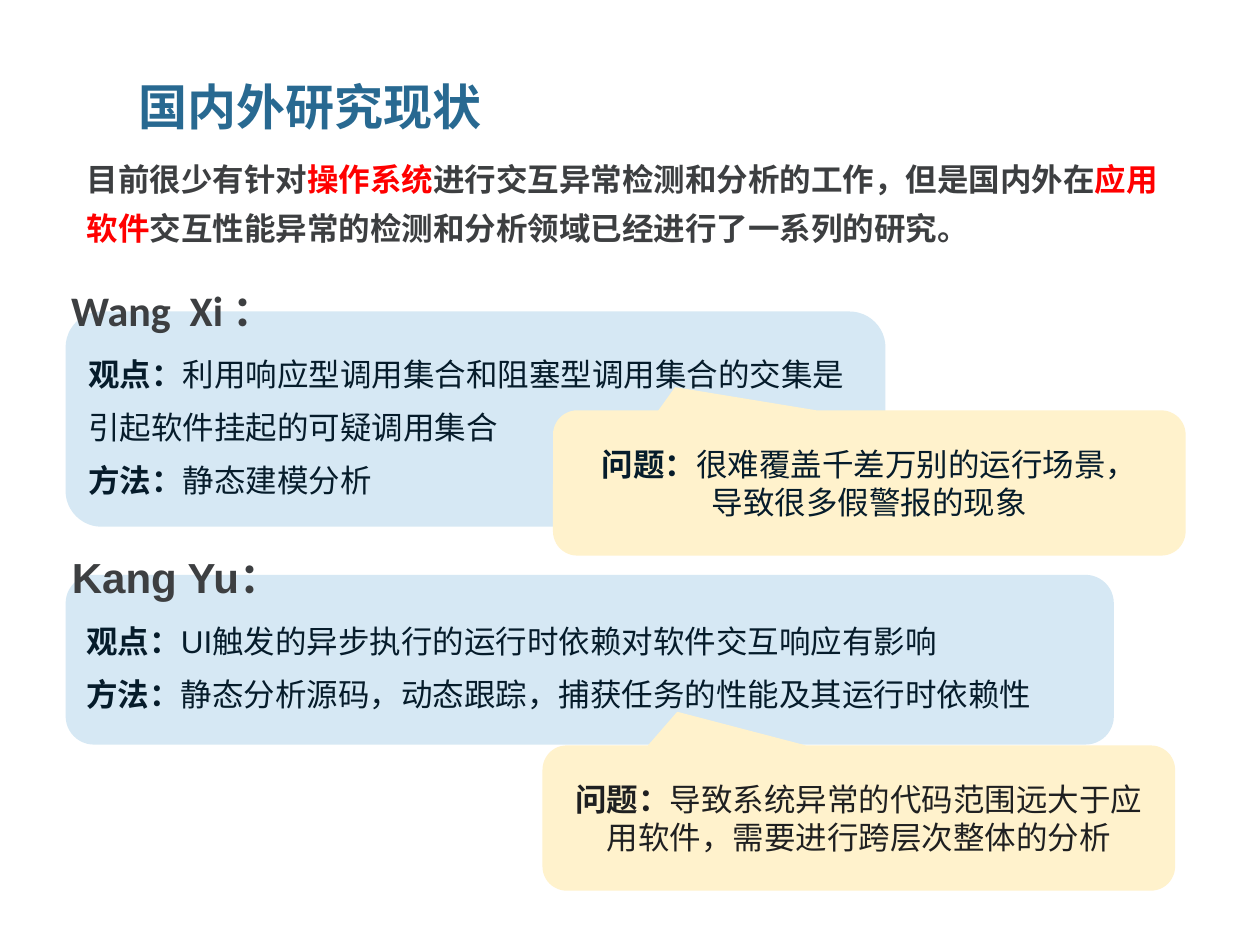
from pptx import Presentation
from pptx.dml.color import RGBColor
from pptx.enum.shapes import MSO_SHAPE
from pptx.enum.text import MSO_ANCHOR, MSO_AUTO_SIZE, PP_ALIGN
from pptx.util import Pt

TITLE_BLUE = RGBColor(0x28, 0x69, 0x91)
PALE_BLUE = RGBColor(0xD6, 0xE8, 0xF4)
CREAM = RGBColor(0xFF, 0xF2, 0xCC)
NAVY = RGBColor(0x06, 0x1C, 0x2B)
BLACK = RGBColor(0x1F, 0x20, 0x21)
GREY = RGBColor(0x3D, 0x3F, 0x41)
RED = RGBColor(0xFF, 0x00, 0x00)


def write(tf, paragraphs, size, font, color, spacing=1.0, align=PP_ALIGN.LEFT):
    """Each paragraph is a list of (text, bold, colour or None)."""
    for i, runs in enumerate(paragraphs):
        p = tf.paragraphs[0] if i == 0 else tf.add_paragraph()
        p.alignment = align
        p.line_spacing = spacing
        p.font.size = Pt(size)
        p.font.name = font
        p.font.color.rgb = color
        for text, bold, run_color in runs:
            r = p.add_run()
            r.text = text
            r.font.bold = bold
            if run_color is not None:
                r.font.color.rgb = run_color


def add_box(s, kind, box, fill, adjustments):
    sp = s.shapes.add_shape(kind, *[Pt(v) for v in box])
    sp.shadow.inherit = False
    sp.fill.solid()
    sp.fill.fore_color.rgb = fill
    sp.line.fill.background()
    for i, value in enumerate(adjustments):
        sp.adjustments[i] = value
    sp.text_frame.word_wrap = True
    sp.text_frame.vertical_anchor = MSO_ANCHOR.MIDDLE
    return sp.text_frame


prs = Presentation()
prs.slide_width, prs.slide_height = Pt(720), Pt(540)
s = prs.slides.add_slide(prs.slide_layouts[5])

# Title
title = s.shapes.title
title.left, title.top, title.width, title.height = Pt(72), Pt(44), Pt(217), Pt(37.5)
tf = title.text_frame
tf.word_wrap = True
tf.auto_size = MSO_AUTO_SIZE.NONE
tf.vertical_anchor = MSO_ANCHOR.TOP
write(tf, [[("国内外研究现状", True, None)]], 28, "Calibri", TITLE_BLUE, 0.9)

# Each study: viewpoint and method panel, then the problem callout over it
studies = [
    ((37.5, 178, 468.5, 123),
     "利用响应型调用集合和阻塞型调用集合的交集是引起软件挂起的可疑调用集合",
     "静态建模分析",
     (316, 234.5), (-0.307, -0.66, 0.167), NAVY,
     ["很难覆盖千差万别的运行场景，", "导致很多假警报的现象"]),
    ((37.5, 328.5, 599, 97),
     "UI触发的异步执行的运行时依赖对软件交互响应有影响",
     "静态分析源码，动态跟踪，捕获任务的性能及其运行时依赖性",
     (310, 426), (-0.287, -0.732, 0.167), BLACK,
     ["导致系统异常的代码范围远大于应用软件，需要进行跨层次整体的分析"]),
]
for panel, view, method, corner, pointer, color, problem in studies:
    tf = add_box(s, MSO_SHAPE.ROUNDED_RECTANGLE, panel, PALE_BLUE, [0.167])
    write(tf, [[("观点：", True, None), (view, False, None)],
               [("方法：", True, None), (method, False, None)]],
          18, "Arial", NAVY, 1.4)

    tf = add_box(s, MSO_SHAPE.ROUNDED_RECTANGULAR_CALLOUT,
                 (*corner, 361.5, 83), CREAM, pointer)
    lines = [[(line, False, None)] for line in problem]
    lines[0].insert(0, ("问题：", True, None))
    write(tf, lines, 18, "Arial", color, align=PP_ALIGN.CENTER)

# Introduction and author names
intro = [
    [("目前很少有针对", True, None), ("操作系统", True, RED),
     ("进行交互异常检测和分析的工作，但是国内外在", True, None),
     ("应用", True, RED)],
    [("软件", True, RED),
     ("交互性能异常的检测和分析领域已经进行了一系列的研究。", True, None)],
]
labels = [
    ((42.5, 81.5, 626.5, 63.5), intro, 18, "Noto Sans CJK SC"),
    ((33.5, 150.5, 137.5, 44.5), [[("Wang  Xi ：", True, None)]], 24, "Calibri"),
    ((34, 303, 141, 44.5), [[("Kang Yu：", True, None)]], 24, "Arial"),
]
for box, paragraphs, size, font in labels:
    tf = s.shapes.add_textbox(*[Pt(v) for v in box]).text_frame
    tf.word_wrap = False
    tf.auto_size = MSO_AUTO_SIZE.SHAPE_TO_FIT_TEXT
    write(tf, paragraphs, size, font, GREY, 1.3)

prs.save("out.pptx")
